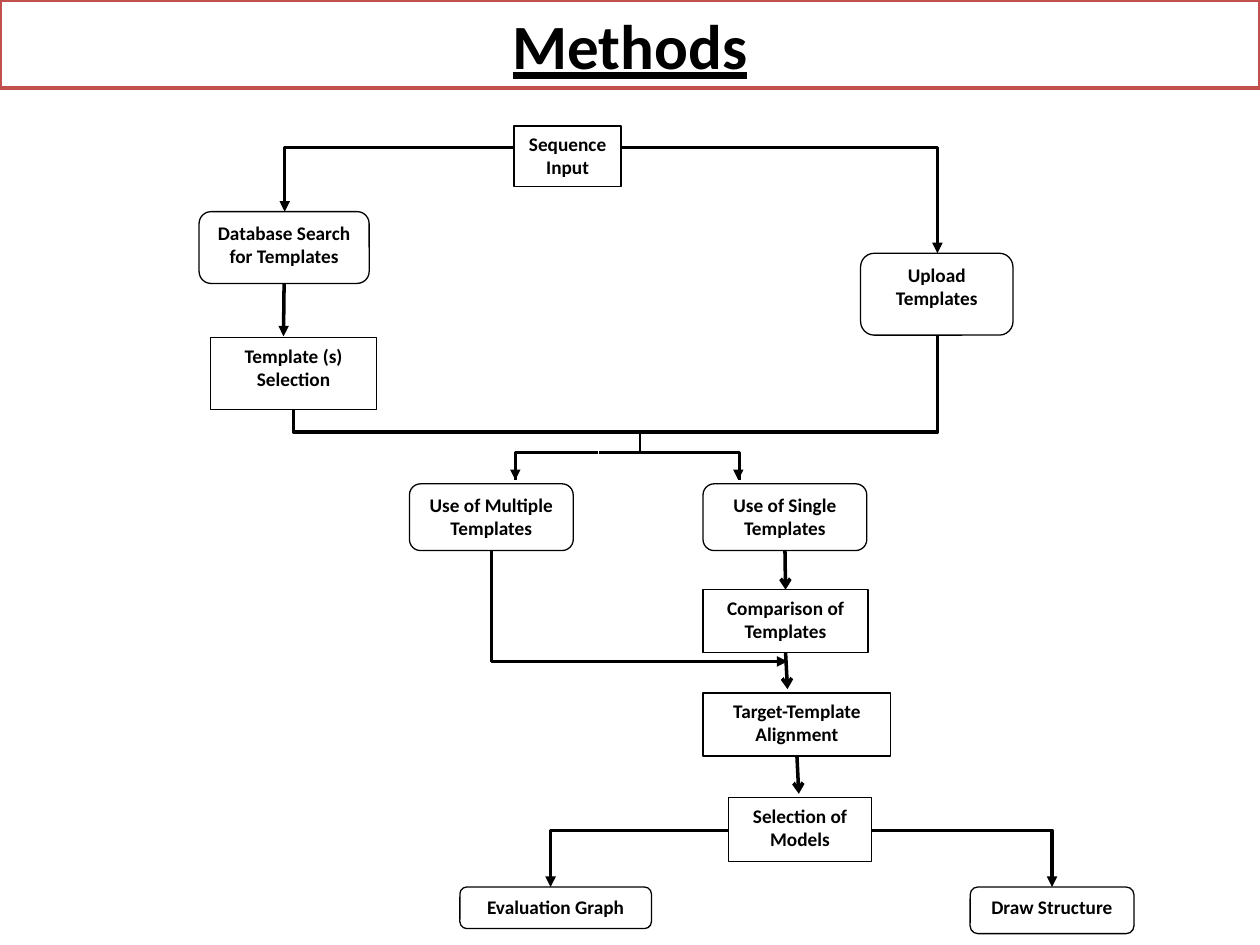
import pptx
import pptx.util
import pptx.dml.color
import pptx.enum.shapes
import pptx.enum.text
import pptx.oxml
import pptx.oxml.ns

Inches = pptx.util.Inches
Pt = pptx.util.Pt
MSO_SHAPE = pptx.enum.shapes.MSO_SHAPE
MSO_CONNECTOR = pptx.enum.shapes.MSO_CONNECTOR
BLACK = pptx.dml.color.RGBColor(0x00, 0x00, 0x00)
WHITE = pptx.dml.color.RGBColor(0xFF, 0xFF, 0xFF)
RED = pptx.dml.color.RGBColor(0xC0, 0x50, 0x4D)
RECTANGLE = MSO_SHAPE.RECTANGLE
ROUNDED = MSO_SHAPE.ROUNDED_RECTANGLE
BOTTOM, TOP = 2, 0

presentation = pptx.Presentation()
presentation.slide_width = Inches(10)
presentation.slide_height = Inches(7.5)
slide = presentation.slides.add_slide(presentation.slide_layouts[6])


def add_box(kind, bounds, text, line_color, line_width, font_format):
    shape = slide.shapes.add_shape(kind, *[Inches(length) for length in bounds])
    shape.shadow.inherit = False
    shape.fill.solid()
    shape.fill.fore_color.rgb = WHITE
    shape.line.color.rgb = line_color
    shape.line.width = Pt(line_width)
    frame = shape.text_frame
    frame.word_wrap = True
    frame.vertical_anchor = pptx.enum.text.MSO_ANCHOR.TOP
    paragraph = frame.paragraphs[0]
    paragraph.alignment = pptx.enum.text.PP_ALIGN.CENTER
    run = paragraph.add_run()
    run.text = text
    run.font.color.rgb = BLACK
    for name, value in font_format.items():
        setattr(run.font, name, value)
    return shape


def add_line(kind, begin, end, width=2, **arrowheads):
    """Arrowheads are given as headEnd (at begin) or tailEnd (at end)."""
    points = [Inches(length) for length in (*begin, *end)]
    connector = slide.shapes.add_connector(kind, *points)
    connector.line.color.rgb = BLACK
    connector.line.width = Pt(width)
    properties = connector._element.spPr
    if kind == MSO_CONNECTOR.ELBOW:
        # One bend: horizontal first, then vertical
        properties.find(pptx.oxml.ns.qn("a:prstGeom")).set("prst", "bentConnector2")
    line = properties.find(pptx.oxml.ns.qn("a:ln"))
    for tag, arrow in arrowheads.items():
        line.append(pptx.oxml.parse_xml(
            f'<a:{tag} {pptx.oxml.ns.nsdecls("a")} type="{arrow}"/>'))
    properties.append(pptx.oxml.parse_xml(
        f'<a:effectLst {pptx.oxml.ns.nsdecls("a")}/>'))
    return connector


title_format = {"name": "Calibri", "size": Pt(36), "bold": True, "underline": True}
step_format = {"name": "Calibri", "size": Pt(11), "bold": True}

add_box(RECTANGLE, (0, 0, 10, 0.7), "Methods", RED, 2, title_format)

steps = [
    (RECTANGLE, (4.08, 1, 0.85, 0.48), "Sequence Input"),
    (ROUNDED, (1.58, 1.68, 1.35, 0.57), "Database Search for Templates"),
    (ROUNDED, (6.83, 2.01, 1.21, 0.65), "Upload Templates"),
    (RECTANGLE, (1.67, 2.68, 1.32, 0.57), "Template (s) Selection"),
    (ROUNDED, (3.25, 3.84, 1.3, 0.53), "Use of Multiple Templates"),
    (ROUNDED, (5.58, 3.84, 1.3, 0.53), "Use of Single Templates"),
    (RECTANGLE, (5.58, 4.68, 1.31, 0.5), "Comparison of Templates"),
    (RECTANGLE, (5.58, 5.5, 1.49, 0.5), "Target-Template Alignment"),
    (RECTANGLE, (5.78, 6.33, 1.14, 0.51), "Selection of Models"),
    (ROUNDED, (3.65, 7.04, 1.52, 0.33), "Evaluation Graph"),
    (ROUNDED, (7.7, 7.04, 1.3, 0.37), "Draw Structure"),
]
boxes = {text: add_box(kind, bounds, text, BLACK, 0.75, step_format)
         for kind, bounds, text in steps}

elbows = [
    ((4.08, 1.17), (2.26, 1.68), {"tailEnd": "triangle"}),
    ((4.94, 1.17), (7.44, 2.01), {"tailEnd": "triangle"}),
    ((5.17, 3.43), (2.33, 3.25), {}),
    ((5.08, 3.43), (7.44, 2.66), {}),
    ((4.75, 3.59), (4.09, 3.81), {}),
    ((4.75, 3.59), (5.87, 3.81), {}),
    ((6.25, 5.25), (3.9, 4.37), {"headEnd": "triangle"}),
    ((5.78, 6.59), (4.37, 7.04), {"tailEnd": "triangle"}),
    ((6.92, 6.59), (8.35, 7.04), {"tailEnd": "triangle"}),
]
for begin, end, arrowheads in elbows:
    add_line(MSO_CONNECTOR.ELBOW, begin, end, **arrowheads)

# Thin stem and the two arrows of the fork
add_line(MSO_CONNECTOR.STRAIGHT, (5.08, 3.43), (5.08, 3.59), 0.75)
for x in (4.09, 5.86):
    add_line(MSO_CONNECTOR.STRAIGHT, (x, 3.59), (x, 3.81), 0.75, tailEnd="triangle")

# Straight arrows that leave the bottom of a step
descents = [
    ("Database Search for Templates", (2.26, 2.25), (2.25, 2.67), "triangle"),
    ("Use of Single Templates", (6.23, 4.37), (6.24, 4.68), "arrow"),
    ("Comparison of Templates", (6.24, 5.18), (6.25, 5.47), "arrow"),
    ("Target-Template Alignment", (6.33, 6), (6.34, 6.3), "arrow"),
]
for source, begin, end, arrow in descents:
    connector = add_line(MSO_CONNECTOR.STRAIGHT, begin, end, tailEnd=arrow)
    connector.begin_connect(boxes[source], BOTTOM)
    if source == "Use of Single Templates":
        connector.end_connect(boxes["Comparison of Templates"], TOP)

presentation.save("out.pptx")
